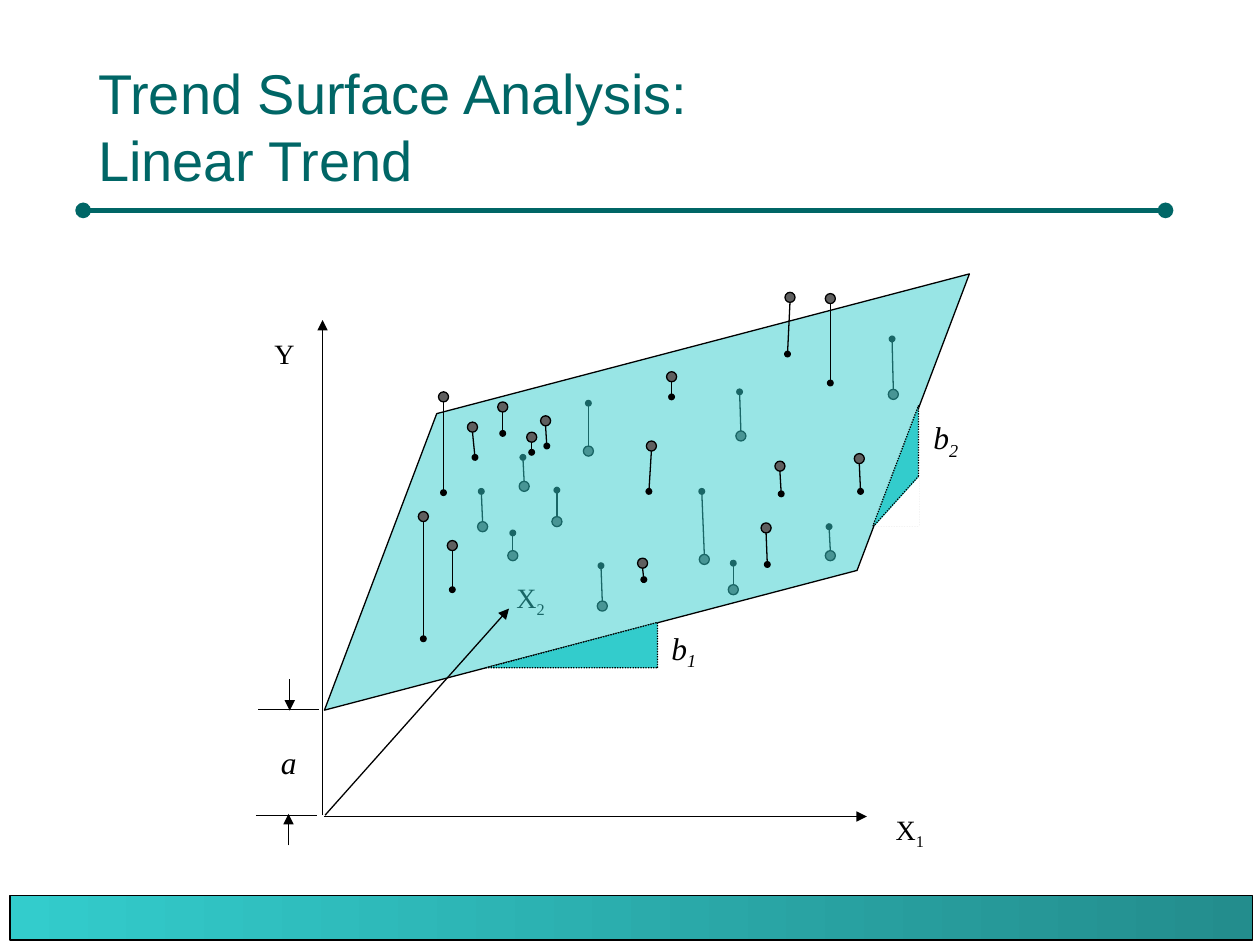
from lxml.etree import SubElement
from pptx import Presentation
from pptx.dml.color import RGBColor
from pptx.enum.dml import MSO_LINE as Dash
from pptx.enum.shapes import MSO_CONNECTOR as Connector, MSO_SHAPE as Shape
from pptx.enum.text import MSO_ANCHOR as Anchor, MSO_AUTO_SIZE as AutoSize
from pptx.oxml.ns import qn
from pptx.util import Inches, Pt

TEAL, AQUA, DEEP_AQUA = "006666", "33CCCC", "238D8D"
BLACK, WHITE, GREY = "000000", "FFFFFF", "5F5F5F"
RADIUS = 0.04

# Each residual: observed x, y, then the x, y of its foot on the surface
BELOW = [
    (5.88, 3.46, 5.87, 3.11), (6.59, 4.41, 6.58, 4.18), (4.16, 3.86, 4.15, 3.63),
    (4.67, 3.58, 4.67, 3.20), (4.42, 4.14, 4.42, 3.89), (7.09, 3.13, 7.08, 2.69),
    (5.59, 4.44, 5.57, 3.90), (3.83, 4.18, 3.82, 3.90), (4.07, 4.41, 4.07, 4.23),
    (5.82, 4.68, 5.82, 4.47), (4.78, 4.81, 4.77, 4.49),
]
ABOVE = [
    (3.52, 3.15, 3.52, 3.91), (3.36, 4.10, 3.36, 5.07), (3.59, 4.33, 3.59, 4.68),
    (3.99, 3.23, 3.99, 3.44), (3.75, 3.39, 3.77, 3.63), (4.22, 3.47, 4.22, 3.59),
    (4.33, 3.34, 4.34, 3.54), (5.17, 3.54, 5.15, 3.90), (5.10, 4.47, 5.11, 4.60),
    (5.33, 2.99, 5.33, 3.15), (6.19, 3.70, 6.20, 3.92), (6.08, 4.19, 6.09, 4.48),
    (6.82, 3.64, 6.83, 3.90), (6.27, 2.36, 6.25, 2.81), (6.59, 2.37, 6.59, 3.04),
]


def rgb(hex_colour):
    return RGBColor.from_string(hex_colour)


class Diagram:
    serif = "Times New Roman"
    thin = 0.75

    def __init__(self, slide):
        self.slide = slide

    def stroke(self, line, colour=BLACK, width=thin, dash=None):
        line.color.rgb = rgb(colour)
        line.width = Pt(width)
        if dash:
            line.dash_style = dash

    def line(self, start, end, head=None, tail=None, end_size="med", **style):
        connector = self.slide.shapes.add_connector(
            Connector.STRAIGHT, *map(Inches, (*start, *end)))
        self.stroke(connector.line, **style)
        properties = connector.element.spPr
        for tag, kind in (("a:headEnd", head), ("a:tailEnd", tail)):
            if kind:
                SubElement(properties.find(qn("a:ln")), qn(tag),
                           type=kind, w=end_size, len=end_size)
        SubElement(properties, qn("a:effectLst"))

    def shape(self, preset, box, fill, outlined=True, dash=None, flip=False):
        shape = self.slide.shapes.add_shape(preset, *map(Inches, box))
        shape.shadow.inherit = False
        shape.fill.solid()
        shape.fill.fore_color.rgb = rgb(fill)
        if outlined:
            self.stroke(shape.line, dash=dash)
        else:
            shape.line.fill.background()
        if flip:
            shape.element.spPr.find(qn("a:xfrm")).set("flipH", "1")
        return shape

    def slope(self, box, fill=AQUA, **style):
        """Right triangle with its right angle at the lower right."""
        self.shape(Shape.RIGHT_TRIANGLE, box, fill, flip=True, **style)

    def footer_band(self, box):
        band = self.shape(Shape.RECTANGLE, box, AQUA)
        band.fill.gradient()
        band.fill.gradient_angle = 180
        for stop, colour in zip(band.fill.gradient_stops, (DEEP_AQUA, AQUA)):
            stop.color.rgb = rgb(colour)

    def surface(self, box):
        plane = self.shape(Shape.PARALLELOGRAM, box, AQUA)
        plane.adjustments[0] = 0.712
        plane.rotation = 345.3
        colour = plane.element.spPr.find(qn("a:solidFill")).find(qn("a:srgbClr"))
        SubElement(colour, qn("a:alpha"), val="50000")

    def residual(self, x, y, foot_x, foot_y):
        edge = RADIUS if foot_y > y else -RADIUS
        self.shape(Shape.OVAL, (x - RADIUS, y - RADIUS, 2 * RADIUS, 2 * RADIUS), GREY)
        self.line((x, y + edge), (foot_x, foot_y), tail="oval", end_size="sm")

    def label(self, box, letter, subscript="", size=16, italic=False):
        frame = self.slide.shapes.add_textbox(*map(Inches, box)).text_frame
        frame.word_wrap = False
        frame.auto_size = AutoSize.SHAPE_TO_FIT_TEXT
        paragraph = frame.paragraphs[0]
        paragraph.text = letter
        if subscript:
            lowered = paragraph.add_run()
            lowered.text = subscript
            lowered.font._element.set("baseline", "-25000")
        for run in paragraph.runs:
            run.font.name, run.font.size = self.serif, Pt(size)
            run.font.italic = italic
            run.font.color.rgb = rgb(BLACK)

    def title(self, box, text):
        frame = self.slide.shapes.add_textbox(*map(Inches, box)).text_frame
        frame.word_wrap = True
        frame.vertical_anchor = Anchor.BOTTOM
        frame.paragraphs[0].text = text
        for run in frame.paragraphs[0].runs:
            run.font.name, run.font.size = "Arial", Pt(32)
            run.font.color.rgb = rgb(TEAL)


def main():
    deck = Presentation()
    deck.slide_width, deck.slide_height = Inches(10), Inches(7.5)
    diagram = Diagram(deck.slides.add_slide(deck.slide_layouts[6]))

    diagram.line((0.66, 1.67), (9.25, 1.67), "oval", "oval", colour=TEAL, width=3)
    diagram.footer_band((0.08, 7.11, 9.86, 0.35))
    diagram.title((0.68, 0.33, 8.58, 1.25), "Trend Surface Analysis:\vLinear Trend")

    for point in BELOW:
        diagram.residual(*point)
    diagram.line((2.56, 6.47), (2.56, 2.54), tail="triangle")
    diagram.line((2.57, 6.48), (6.88, 6.48), tail="triangle")
    diagram.label((2.08, 2.62, 0.36, 0.37), "Y")
    diagram.label((7.01, 6.4, 0.46, 0.41), "X", "1")
    diagram.label((4, 4.56, 0.46, 0.41), "X", "2")

    # Intercept
    diagram.line((2.05, 5.63), (2.53, 5.63))
    diagram.line((2.03, 6.47), (2.52, 6.47))
    diagram.line((2.3, 5.39), (2.3, 5.64), tail="triangle")
    diagram.line((2.29, 6.71), (2.29, 6.46), tail="triangle")
    diagram.label((2.13, 5.85, 0.32, 0.4), "a", size=18, italic=True)

    diagram.surface((2.22, 2.88, 5.83, 2.05))

    # Slopes along the two axes
    diagram.slope((3.86, 4.94, 1.36, 0.36), dash=Dash.ROUND_DOT)
    diagram.label((5.23, 4.94, 0.4, 0.44), "b", "1", size=18, italic=True)
    diagram.slope((6.93, 3.22, 0.36, 0.95), dash=Dash.ROUND_DOT)
    diagram.line((6.93, 4.18), (7.29, 3.78), dash=Dash.ROUND_DOT)
    diagram.slope((6.94, 3.78, 0.36, 0.4), WHITE, outlined=False)
    diagram.label((7.31, 3.27, 0.4, 0.44), "b", "2", size=18, italic=True)

    for point in ABOVE:
        diagram.residual(*point)
    diagram.line((2.58, 6.47), (4.04, 4.83), tail="triangle")

    deck.save("out.pptx")


if __name__ == "__main__":
    main()
